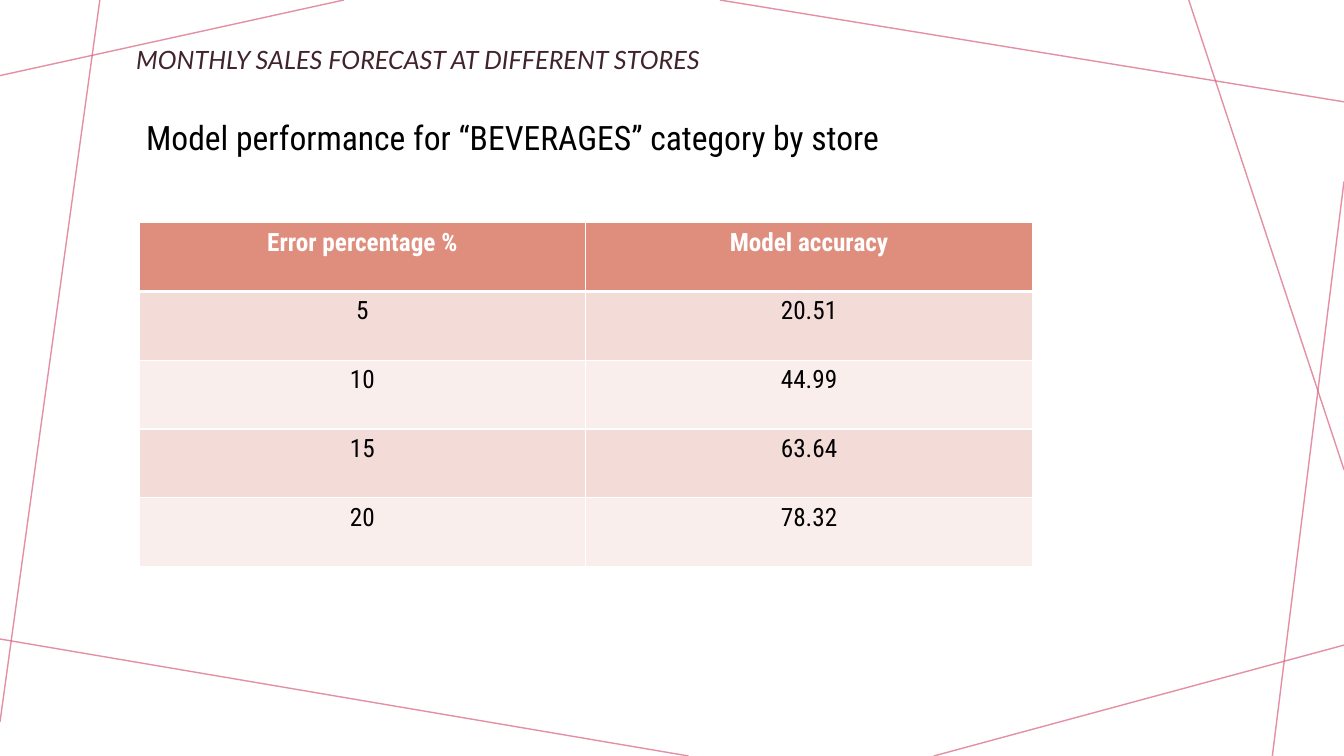
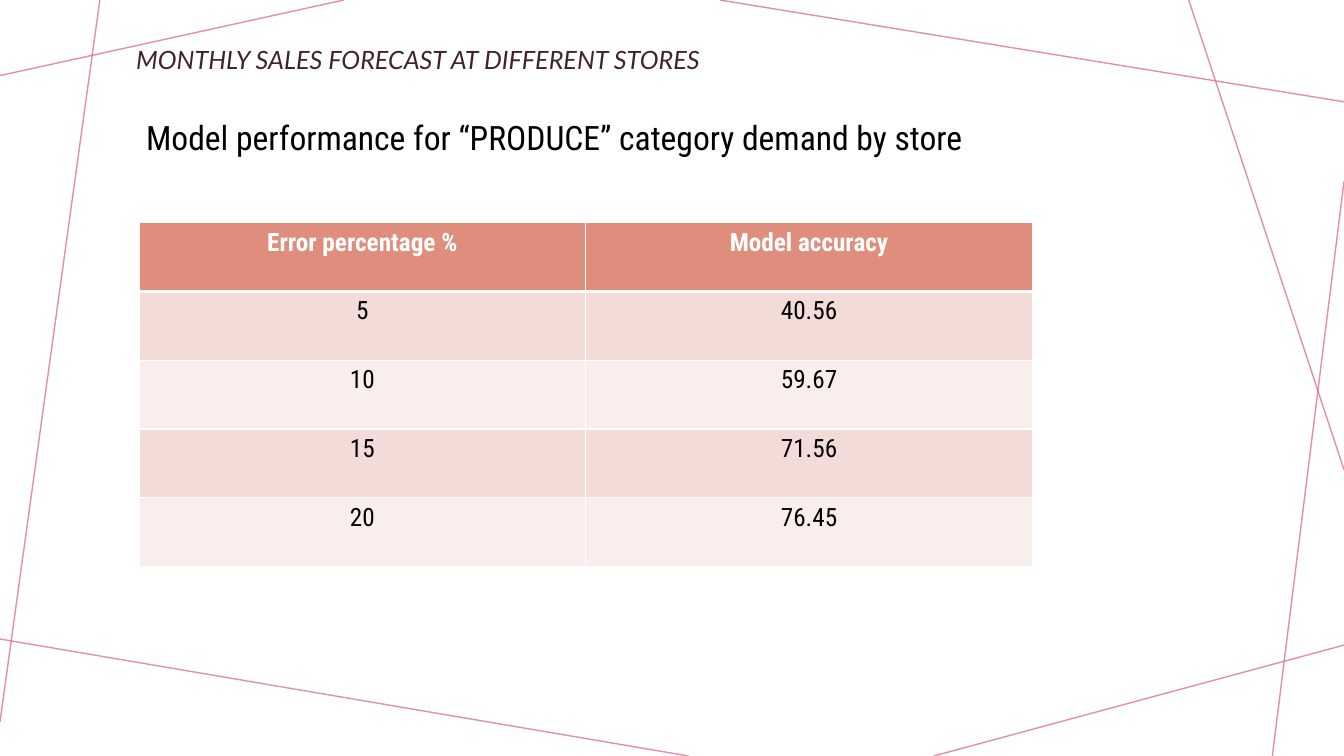
import lxml.etree
import pptx
import pptx.dml.color
import pptx.enum.shapes
import pptx.enum.text
import pptx.oxml.ns
import pptx.util

RGB = pptx.dml.color.RGBColor
ROSE = RGB(0xD8, 0x61, 0x7E)
PLUM = RGB(0x41, 0x24, 0x2B)
CORAL = RGB(0xDF, 0x8E, 0x7E)
BLUSH = RGB(0xF3, 0xDB, 0xD8)
PALE = RGB(0xF9, 0xEE, 0xEC)
WHITE = RGB(0xFF, 0xFF, 0xFF)
BLACK = RGB(0, 0, 0)

TITLE_FONT = "Lato"
BODY_FONT = "Roboto Condensed"
TITLE = "MONTHLY SALES FORECAST AT DIFFERENT STORES"
HEADER = ("Error percentage %", "Model accuracy")

# Positions are percentages of the slide's width and height
FRAME_LINES = (
    (25.58, 0, 0, 10),
    (7.43, 0, 0, 95.47),
    (51.24, 100, 0, 84.53),
    (100, 85.33, 69.47, 100),
    (100, 24, 94.67, 100),
    (100, 62.13, 88.45, 0),
    (100, 13.47, 53.56, 0),
)
TITLE_BOX = (9.38, 6, 81.25, 4.27)
HEADING_BOX = (10.13, 14.8, 69.32, 6.67)
TABLE_BOX = (10.35, 29.47, 66.47, 45.47)

SLIDES = (
    ("Model performance for “BEVERAGES” category by store",
     (("5", "20.51"), ("10", "44.99"), ("15", "63.64"), ("20", "78.32"))),
    ("Model performance for “PRODUCE” category demand by store",
     (("5", "40.56"), ("10", "59.67"), ("15", "71.56"), ("20", "76.45"))),
)


def add_xml(parent, tag, **attributes):
    return lxml.etree.SubElement(parent, pptx.oxml.ns.qn(tag), attributes)


class Deck:
    def __init__(self):
        self.prs = pptx.Presentation()
        self.prs.slide_width = pptx.util.Inches(13.33)
        self.prs.slide_height = pptx.util.Inches(7.5)
        self.s = None

    def place(self, x, y):
        return (round(self.prs.slide_width * x / 100),
                round(self.prs.slide_height * y / 100))

    def box(self, x, y, w, h):
        return self.place(x, y) + self.place(w, h)

    def add_slide(self):
        self.s = self.prs.slides.add_slide(self.prs.slide_layouts[5])
        for line in FRAME_LINES:
            self.line(*line)

    def line(self, x1, y1, x2, y2):
        sp = self.s.shapes.add_connector(
            pptx.enum.shapes.MSO_CONNECTOR.STRAIGHT,
            *self.place(x1, y1), *self.place(x2, y2))
        sp.line.width = pptx.util.Pt(1)
        sp.line.color.rgb = ROSE
        color = sp._element.spPr.find(".//" + pptx.oxml.ns.qn("a:srgbClr"))
        add_xml(color, "a:alpha", val="70000")
        add_xml(sp._element.spPr, "a:effectLst")

    def add_text(self, tf, text, size, font, color, bold=False, italic=False,
                 align=pptx.enum.text.PP_ALIGN.LEFT):
        p = tf.paragraphs[0]
        p.alignment = align
        r = p.add_run()
        r.text = text
        r.font.size = pptx.util.Pt(size)
        r.font.name = font
        r.font.color.rgb = color
        r.font.bold = bold
        r.font.italic = italic
        return p

    def title(self, text):
        sp = self.s.shapes.title
        sp.left, sp.top, sp.width, sp.height = self.box(*TITLE_BOX)
        tf = sp.text_frame
        tf.word_wrap = True
        tf.auto_size = pptx.enum.text.MSO_AUTO_SIZE.NONE
        tf.vertical_anchor = pptx.enum.text.MSO_ANCHOR.MIDDLE
        p = self.add_text(tf, text, 18, TITLE_FONT, PLUM, italic=True)
        p.line_spacing = 0.9

    def heading(self, text):
        tf = self.s.shapes.add_textbox(*self.box(*HEADING_BOX)).text_frame
        tf.word_wrap = True
        self.add_text(tf, text, 24, BODY_FONT, BLACK)

    def borders(self, cell, top, bottom):
        tc_pr = cell._tc.get_or_add_tcPr()
        for side, points in (("L", 1), ("R", 1), ("T", top), ("B", bottom)):
            ln = add_xml(tc_pr, "a:ln" + side, w=str(pptx.util.Pt(points)))
            add_xml(add_xml(ln, "a:solidFill"), "a:srgbClr", val=str(WHITE))

    def table(self, rows):
        table = self.s.shapes.add_table(
            len(rows), len(rows[0]), *self.box(*TABLE_BOX)).table
        table.horz_banding = False
        for i, row in enumerate(rows):
            is_header = i == 0
            fill = CORAL if is_header else (PALE, BLUSH)[i % 2]
            for j, text in enumerate(row):
                cell = table.cell(i, j)
                # Borders come before the fill in the cell's XML
                self.borders(cell, 3 if i == 1 else 1, 3 if is_header else 1)
                cell.fill.solid()
                cell.fill.fore_color.rgb = fill
                self.add_text(cell.text_frame, text, 18, BODY_FONT,
                              WHITE if is_header else BLACK, bold=is_header,
                              align=pptx.enum.text.PP_ALIGN.CENTER)


def main():
    deck = Deck()
    for heading, rows in SLIDES:
        deck.add_slide()
        deck.title(TITLE)
        deck.heading(heading)
        deck.table((HEADER,) + rows)
    deck.prs.save("out.pptx")


if __name__ == "__main__":
    main()
